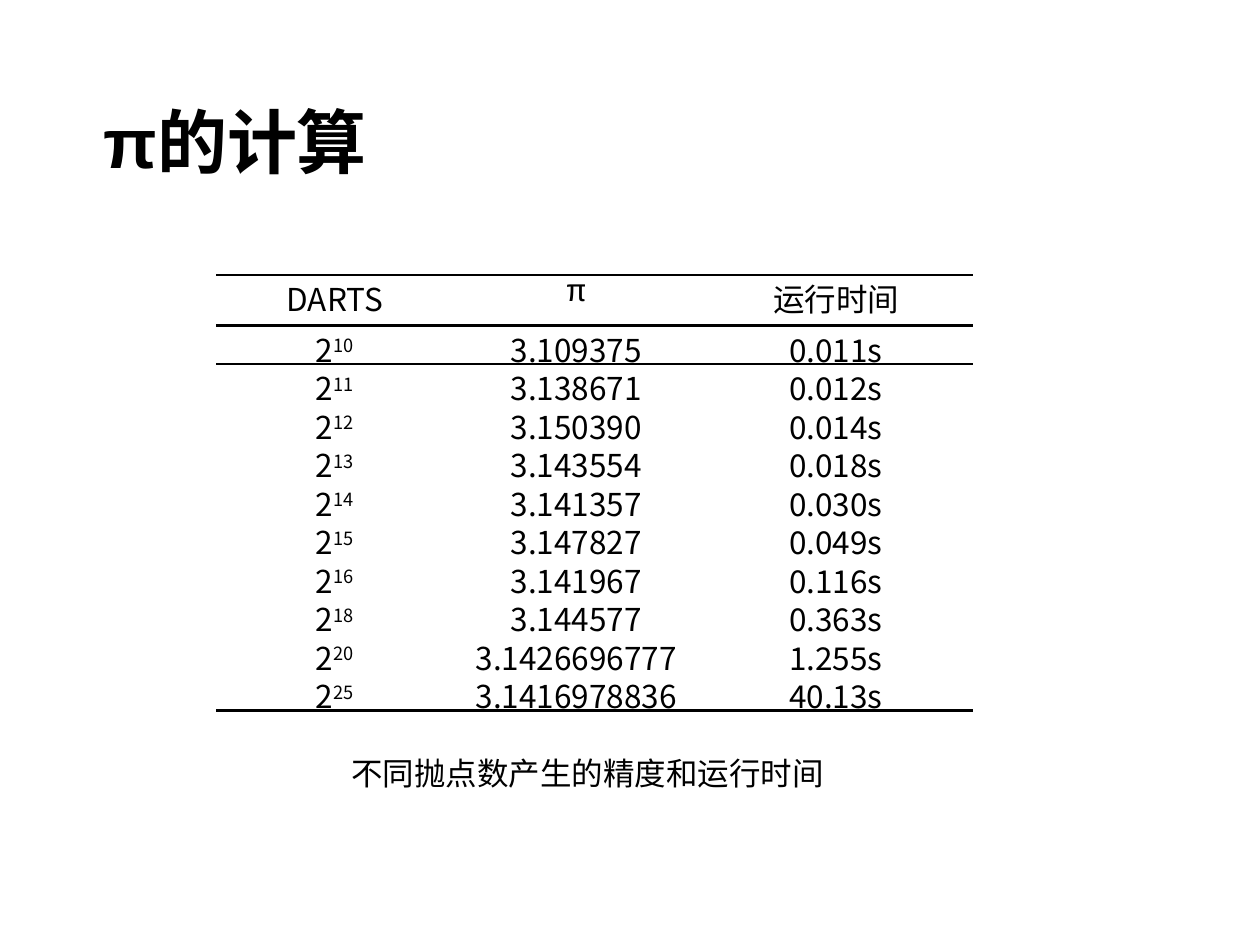
from lxml import etree
from pptx import Presentation
from pptx.dml.color import RGBColor
from pptx.enum.text import MSO_ANCHOR, MSO_AUTO_SIZE, PP_ALIGN
from pptx.oxml.ns import qn
from pptx.util import Pt

BLACK = RGBColor(0x00, 0x00, 0x00)
WHITE = RGBColor(0xFF, 0xFF, 0xFF)
CENTER, LEFT = PP_ALIGN.CENTER, PP_ALIGN.LEFT
TOP = MSO_ANCHOR.TOP
GROW = MSO_AUTO_SIZE.SHAPE_TO_FIT_TEXT
TITLE_ONLY = 5
CJK_FONT = "Noto Sans CJK SC"
PLAIN_TABLE = "{2D5ABB26-0587-4C30-8999-92F81FD0307C}"

HEADINGS = [("DARTS", CJK_FONT), ("π", "Courier New"), ("运行时间", "Calibri")]
RESULTS = [
    ("10", "3.109375", "0.011s"),
    ("11", "3.138671", "0.012s"),
    ("12", "3.150390", "0.014s"),
    ("13", "3.143554", "0.018s"),
    ("14", "3.141357", "0.030s"),
    ("15", "3.147827", "0.049s"),
    ("16", "3.141967", "0.116s"),
    ("18", "3.144577", "0.363s"),
    ("20", "3.1426696777", "1.255s"),
    ("25", "3.1416978836", "40.13s"),
]
COLUMN_WIDTHS = [135.5, 140.5, 156.5]
HEADER_HEIGHT, ROW_HEIGHT = 29, 22


def add_text(paragraph, text, size=18, font=CJK_FONT, bold=False,
             align=LEFT, superscript=False):
    paragraph.alignment = align
    run = paragraph.add_run()
    run.text = text
    run.font.size = Pt(size)
    run.font.name = font
    run.font.bold = bold
    run.font.color.rgb = BLACK
    properties = run._r.get_or_add_rPr()
    etree.SubElement(properties, qn("a:ea"), typeface=CJK_FONT)
    if superscript:
        properties.set("baseline", "30000")
    return run


def add_text_shadow(run):
    effects = etree.Element(qn("a:effectLst"))
    shadow = etree.SubElement(effects, qn("a:outerShdw"), blurRad="38100",
                              dist="38100", dir="2700000", algn="tl")
    color = etree.SubElement(shadow, qn("a:srgbClr"), val="C0C0C0")
    etree.SubElement(color, qn("a:alpha"), val="100000")
    run._r.get_or_add_rPr().find(qn("a:solidFill")).addnext(effects)


def rule_cell(cell, edges):
    """Draw the named edges (lnT, lnB) of a cell as black rules."""
    properties = cell._tc.get_or_add_tcPr()
    for position, edge in enumerate(edges):
        line = etree.Element(qn(f"a:{edge}"), w=str(Pt(1.5)))
        fill = etree.SubElement(line, qn("a:solidFill"))
        etree.SubElement(fill, qn("a:srgbClr"), val=str(BLACK))
        properties.insert(position, line)


class SlideBuilder:
    """Holds the current slide and adds its elements, in points."""

    def __init__(self, slide):
        self.slide = slide

    def title(self, text, left, top, width, height):
        title = self.slide.shapes.title
        title.left, title.top = Pt(left), Pt(top)
        title.width, title.height = Pt(width), Pt(height)
        frame = title.text_frame
        frame.word_wrap = False
        frame.auto_size = GROW
        frame.vertical_anchor = TOP
        add_text_shadow(add_text(frame.paragraphs[0], text, size=40,
                                 font="Arial", bold=True))

    def caption(self, text, left, top, width, height):
        box = self.slide.shapes.add_textbox(Pt(left), Pt(top), Pt(width), Pt(height))
        box.text_frame.word_wrap = False
        box.text_frame.auto_size = GROW
        add_text(box.text_frame.paragraphs[0], text)

    def cell(self, cell, edges):
        """Format a cell and return its paragraph."""
        cell.margin_left = cell.margin_right = Pt(5)
        cell.margin_top = cell.margin_bottom = 0
        cell.vertical_anchor = TOP
        cell.fill.solid()
        cell.fill.fore_color.rgb = WHITE
        rule_cell(cell, edges)
        return cell.text_frame.paragraphs[0]

    def results_table(self, left, top):
        height = HEADER_HEIGHT + ROW_HEIGHT * len(RESULTS)
        table = self.slide.shapes.add_table(
            len(RESULTS) + 1, len(HEADINGS), Pt(left), Pt(top),
            Pt(sum(COLUMN_WIDTHS)), Pt(height)).table
        table.first_row = table.horz_banding = False
        table._tbl.tblPr.find(qn("a:tableStyleId")).text = PLAIN_TABLE
        for column, width in zip(table.columns, COLUMN_WIDTHS):
            column.width = Pt(width)
        for index, row in enumerate(table.rows):
            row.height = Pt(ROW_HEIGHT if index else HEADER_HEIGHT)

        for column, (heading, font) in enumerate(HEADINGS):
            paragraph = self.cell(table.cell(0, column), ["lnT", "lnB"])
            add_text(paragraph, heading, font=font, align=CENTER)
        for index, (exponent, *values) in enumerate(RESULTS, start=1):
            edges = {1: ["lnT"], len(RESULTS): ["lnB"]}.get(index, [])
            darts = self.cell(table.cell(index, 0), edges)
            add_text(darts, "2", align=CENTER)
            add_text(darts, exponent, align=CENTER, superscript=True)
            for column, value in enumerate(values, start=1):
                paragraph = self.cell(table.cell(index, column), edges)
                add_text(paragraph, value, align=CENTER)


def main():
    presentation = Presentation()
    presentation.slide_width, presentation.slide_height = Pt(720), Pt(540)
    layout = presentation.slide_layouts[TITLE_ONLY]
    builder = SlideBuilder(presentation.slides.add_slide(layout))
    builder.title("π的计算", 52, 52.5, 176.5, 55.5)
    builder.results_table(123.5, 157)
    builder.caption("不同抛点数产生的精度和运行时间", 193.5, 427.5, 289.5, 29)
    presentation.save("out.pptx")


if __name__ == "__main__":
    main()
